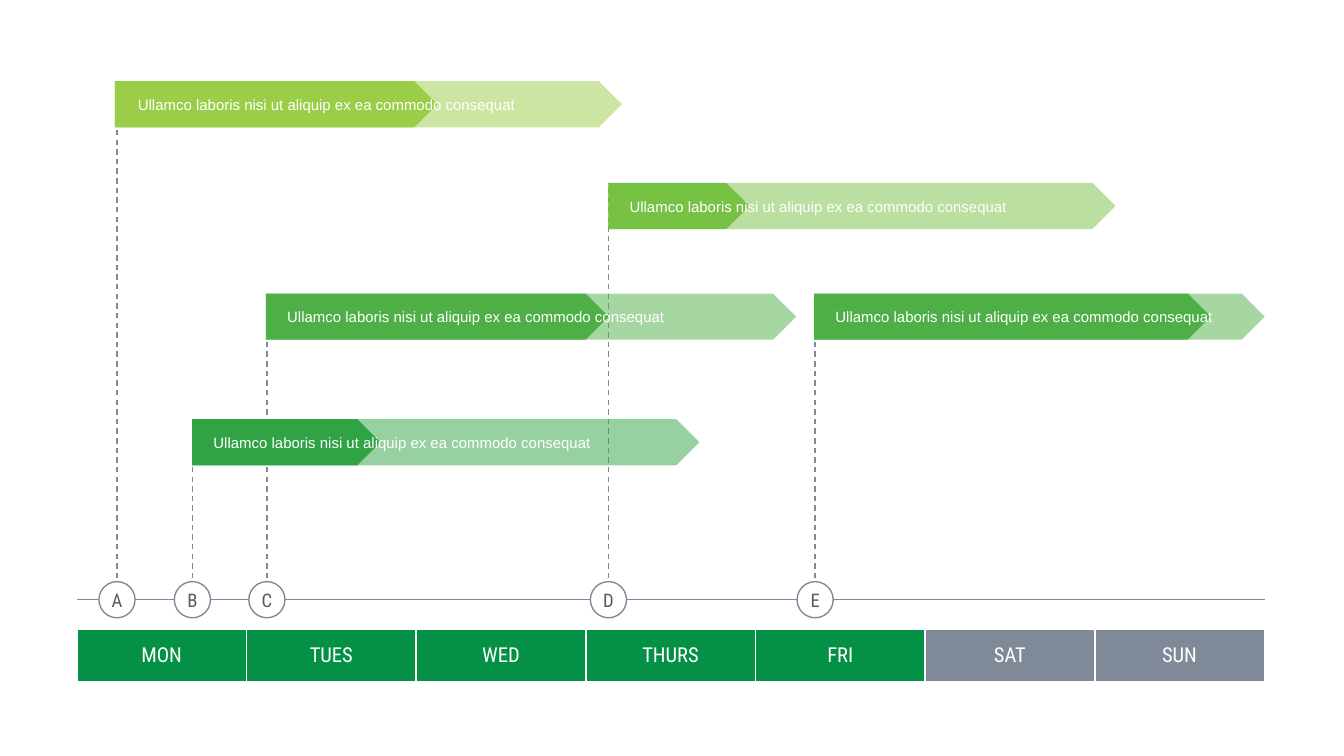
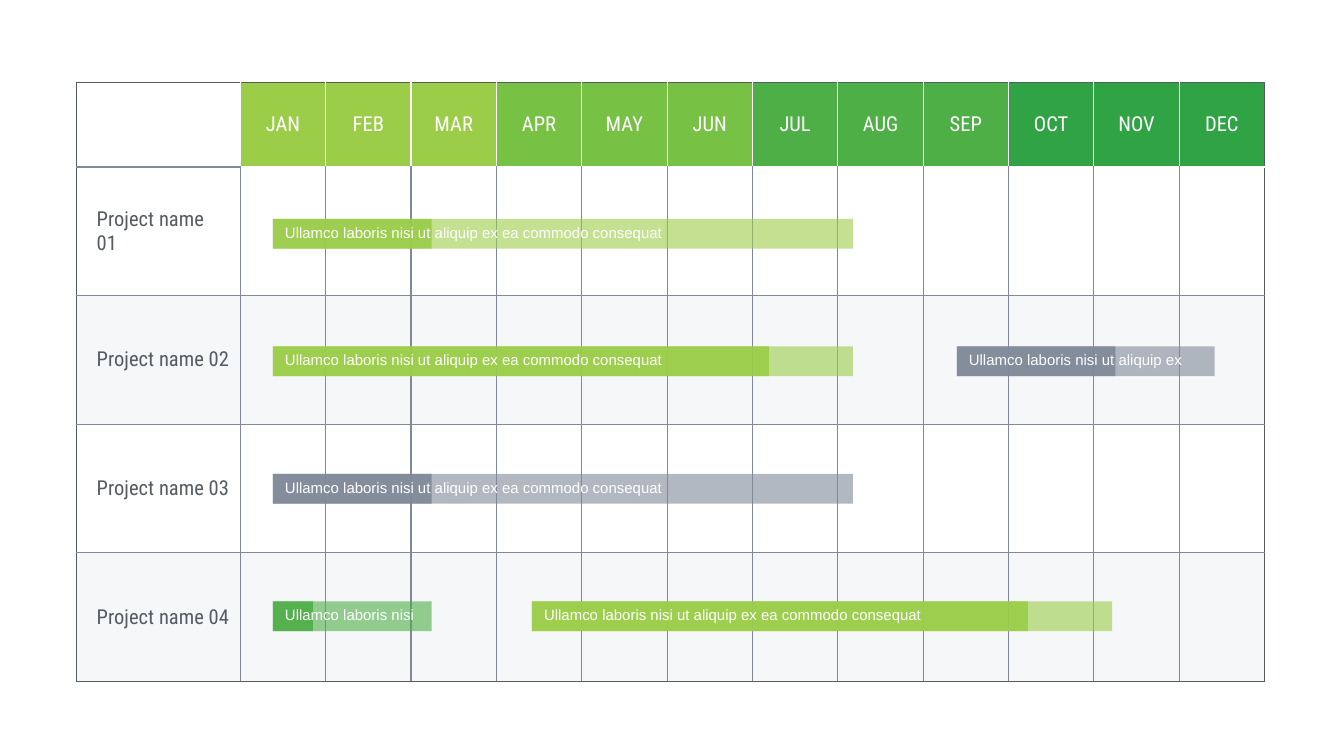
"""Build a weekly milestone timeline and a yearly project plan."""
from dataclasses import dataclass

from lxml.etree import SubElement
from pptx import Presentation
from pptx.dml.color import RGBColor
from pptx.enum.dml import MSO_LINE
from pptx.enum.shapes import MSO_CONNECTOR as Connector, MSO_SHAPE as Preset
from pptx.enum.text import MSO_ANCHOR as Anchor, PP_ALIGN as Align
from pptx.oxml import parse_xml
from pptx.oxml.ns import nsdecls, qn
from pptx.util import Pt

COLORS = {
    "white": "FFFFFF", "ink": "545B63", "gray": "7F8998", "pale": "EEF0F4",
    "lime": "9BCD48", "leaf": "77C141", "grass": "4FAF47", "green": "30A345",
    "emerald": "059145",
}
COLORS["leaf"] = "77C145"
HEADING_FONT, BODY_FONT = "Roboto Condensed", "Arial"
PHRASE = "Ullamco laboris nisi ut aliquip ex ea commodo consequat"
PHRASE_WIDTH = 224
LEFT, RIGHT = 41.2, 677.5
AXIS_Y = 321.3
CIRCLE_SIZE = 19.4
WEEKDAYS = ["MON", "TUES", "WED", "THURS", "FRI", "SAT", "SUN"]
MONTHS = ["JAN", "FEB", "MAR", "APR", "MAY", "JUN",
          "JUL", "AUG", "SEP", "OCT", "NOV", "DEC"]
QUARTER_COLORS = ["lime", "leaf", "grass", "green"]
PROJECTS = ["Project name\n01", "Project name 02", "Project name 03", "Project name 04"]


@dataclass(frozen=True)
class Milestone:
    """A lettered point on the week axis with a dashed line up to its bar."""
    letter: str
    x: float
    line_top: float


@dataclass(frozen=True)
class Bar:
    """A task: its whole span, the part done and its caption."""
    left: float
    top: float
    width: float
    done: float
    color: str
    text: str = PHRASE
    indent: float = 8.5


@dataclass(frozen=True)
class BarStyle:
    """The look shared by all bars of a page."""
    preset: Preset
    height: float
    text_drop: float
    total_alpha: int
    done_alpha: int


ARROW = BarStyle(Preset.PENTAGON, 24.7, 6.2, 50, 100)
BLOCK = BarStyle(Preset.RECTANGLE, 15.9, 0.9, 60, 90)

MILESTONES = [
    Milestone("D", 326, 98),
    Milestone("C", 143, 157.5),
    Milestone("A", 62.7, 43.4),
    Milestone("B", 103.1, 224.6),
    Milestone("E", 436.7, 157.5),
]
WEEK_BARS = [
    Bar(325.9, 98, 271.7, 75.6, "leaf"),
    Bar(61.5, 43.5, 271.7, 172.8, "lime", indent=9.5),
    Bar(142.5, 157.3, 284, 183.6, "grass"),
    Bar(436.2, 157.3, 241.3, 212.4, "grass"),
    Bar(103, 224.6, 271.7, 100.8, "green"),
]


def plan_bar(row: int, left: float, width: float, done: float,
             color: str, text: str = PHRASE) -> Bar:
    """Place a task bar in a project row."""
    return Bar(left, 117.3 + 68.3 * row, width, done, color, text, indent=3.6)


PLAN_BARS = [
    plan_bar(0, 146.2, 310.8, 85, "lime"),
    plan_bar(3, 146.2, 85, 21.4, "grass", "Ullamco laboris nisi"),
    plan_bar(1, 146.2, 310.8, 265.7, "lime"),
    plan_bar(2, 146.2, 310.8, 85, "gray"),
    plan_bar(3, 285, 310.8, 265.7, "lime"),
    plan_bar(1, 512.6, 138.2, 85, "gray", "Ullamco laboris nisi ut aliquip ex"),
]


def rgb(color: str) -> RGBColor:
    """Look up a named colour."""
    return RGBColor.from_string(COLORS[color])


def paint(fill, properties, color: str, alpha: int = 100) -> None:
    """Fill solidly, with an opacity in percent."""
    fill.solid()
    fill.fore_color.rgb = rgb(color)
    if alpha < 100:
        for value in properties.iter(qn("a:srgbClr")):
            SubElement(value, qn("a:alpha"), val=str(alpha * 1000))


def write(frame, text: str, size: float, font: str, color: str,
          align: Align = Align.LEFT) -> None:
    """Set text and format all of its runs."""
    frame.text = text
    frame.word_wrap = True
    for para in frame.paragraphs:
        para.alignment = align
        for span in para.runs:
            span.font.size = Pt(size)
            span.font.name = font
            span.font.color.rgb = rgb(color)


def set_margins(target, side: float, left: float) -> None:
    """Set the insets of a text frame or a cell."""
    target.margin_left, target.margin_right = Pt(left), Pt(side)
    target.margin_top = target.margin_bottom = Pt(1.4)


def add_label(shapes, left: float, top: float, width: float, height: float,
              side: float, *style) -> None:
    """Add a text box with small insets."""
    box = shapes.add_textbox(Pt(left), Pt(top), Pt(width), Pt(height))
    set_margins(box.text_frame, side, side)
    write(box.text_frame, *style)


def add_line(shapes, x1: float, y1: float, x2: float, y2: float,
             dashed: bool = False) -> None:
    """Add a thin gray line."""
    line = shapes.add_connector(Connector.STRAIGHT, Pt(x1), Pt(y1), Pt(x2), Pt(y2))
    line.line.color.rgb = rgb("gray")
    line.line.width = Pt(0.75)
    if dashed:
        line.line.dash_style = MSO_LINE.DASH
    SubElement(line._element.spPr, qn("a:effectLst"))


def add_milestone(shapes, mark: Milestone) -> None:
    """Draw a dashed line, a circle and its letter."""
    add_line(shapes, mark.x, 330.5, mark.x, mark.line_top, dashed=True)
    circle = shapes.add_shape(
        Preset.OVAL, Pt(mark.x - CIRCLE_SIZE / 2), Pt(AXIS_Y - CIRCLE_SIZE / 2),
        Pt(CIRCLE_SIZE), Pt(CIRCLE_SIZE))
    circle.shadow.inherit = False
    paint(circle.fill, circle._element.spPr, "white")
    circle.line.color.rgb = rgb("gray")
    circle.line.width = Pt(0.75)
    add_label(shapes, mark.x - 9.4, 313.9, 18.8, 14.4, 1.4,
              mark.letter, 10, HEADING_FONT, "ink", Align.CENTER)


def add_bar(shapes, bar: Bar, style: BarStyle) -> None:
    """Draw a grouped task bar: span, done part and caption."""
    group = shapes.add_group_shape().shapes
    for width, alpha in ((bar.width, style.total_alpha), (bar.done, style.done_alpha)):
        strip = group.add_shape(style.preset, Pt(bar.left), Pt(bar.top),
                                Pt(width), Pt(style.height))
        strip.shadow.inherit = False
        paint(strip.fill, strip._element.spPr, bar.color, alpha)
        strip.line.fill.background()
    add_label(group, bar.left + bar.indent, bar.top + style.text_drop,
              min(PHRASE_WIDTH, bar.width - bar.indent), 13, 2.9,
              bar.text, 8, BODY_FONT, "white")


def add_grid(shapes, left: float, top: float, widths: list[float], heights: list[float]):
    """Add an unstyled table with given column widths and row heights."""
    table = shapes.add_table(len(heights), len(widths), Pt(left), Pt(top),
                             Pt(sum(widths)), Pt(sum(heights))).table
    table.first_row = table.horz_banding = False
    for column, width in zip(table.columns, widths):
        column.width = Pt(width)
    for row, height in zip(table.rows, heights):
        row.height = Pt(height)
    return table


def format_cell(cell, text: str, color: str, fill: str | None, alpha: int,
                borders: list[str], weight: float, align: Align = Align.CENTER,
                indent: float = 2.9) -> None:
    """Set text, fill and the left, right, top and bottom borders of a cell."""
    set_margins(cell, 2.9, indent)
    cell.vertical_anchor = Anchor.MIDDLE
    if text:
        write(cell.text_frame, text, 11, HEADING_FONT, color, align)
    properties = cell._tc.get_or_add_tcPr()
    if fill:
        paint(cell.fill, properties, fill, alpha)
    else:
        cell.fill.background()
    for index, (side, border) in enumerate(zip("LRTB", borders)):
        properties.insert(index, parse_xml(
            f'<a:ln{side} {nsdecls("a")} w="{Pt(weight)}"><a:solidFill>'
            f'<a:srgbClr val="{COLORS[border]}"/></a:solidFill></a:ln{side}>'))


def build_week(page) -> None:
    """Draw the week with milestones and arrow bars."""
    add_line(page.shapes, LEFT, AXIS_Y, RIGHT, AXIS_Y)
    table = add_grid(page.shapes, LEFT, 337.2, [90.9] * 7, [27.9])
    for column, day in enumerate(WEEKDAYS):
        fill = "emerald" if column < 5 else "gray"
        format_cell(table.cell(0, column), day, "white", fill, 100, ["white"] * 4, 1)
    for mark in MILESTONES:
        add_milestone(page.shapes, mark)
    for bar in WEEK_BARS:
        add_bar(page.shapes, bar, ARROW)


def build_year(page) -> None:
    """Draw the month grid with project bars."""
    table = add_grid(page.shapes, 41, 44.2, [87.8] + [45.74] * 12, [45.3] + [68.9] * 4)
    last_column, last_row = len(MONTHS), len(PROJECTS)
    for column, month in enumerate([""] + MONTHS):
        first, last = column == 0, column == last_column
        fill = None if first else QUARTER_COLORS[(column - 1) // 3]
        borders = ["ink" if first else "white", "ink" if last else "white",
                   "ink", "gray" if first else "white"]
        format_cell(table.cell(0, column), month, "white", fill, 100, borders, 0.75)
        for row, project in enumerate(PROJECTS, start=1):
            borders = ["ink" if first else "gray", "ink" if last else "gray",
                       "white" if row == 1 and not first else "gray",
                       "ink" if row == last_row else "gray"]
            format_cell(table.cell(row, column), project if first else "", "ink",
                        None if row % 2 else "pale", 50, borders, 0.75,
                        Align.LEFT, 10.8)
    for bar in PLAN_BARS:
        add_bar(page.shapes, bar, BLOCK)


def main() -> None:
    """Build and save the deck."""
    deck = Presentation()
    deck.slide_width, deck.slide_height = Pt(720), Pt(405)
    for build in (build_week, build_year):
        build(deck.slides.add_slide(deck.slide_layouts[6]))
    deck.save("out.pptx")


if __name__ == "__main__":
    main()
